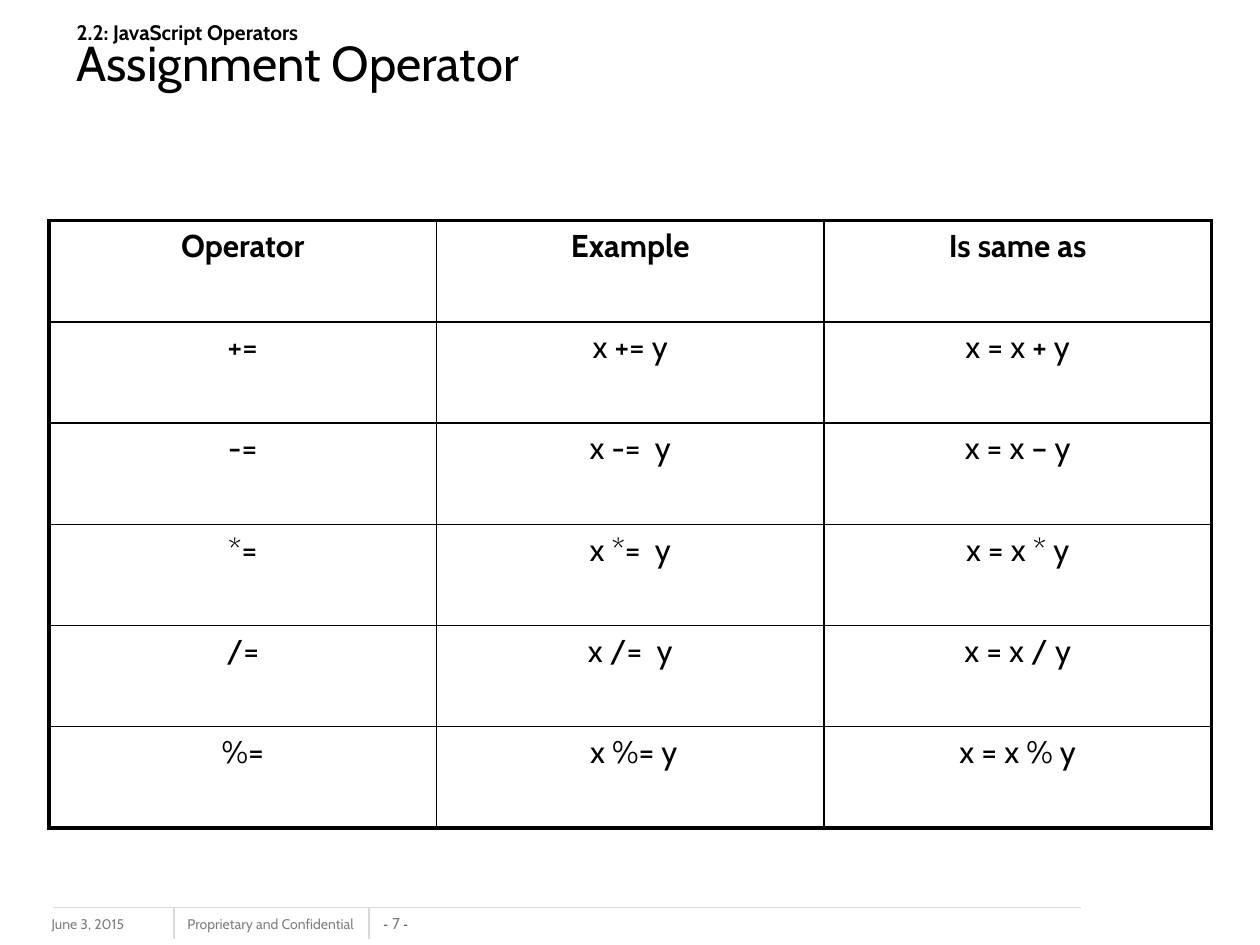
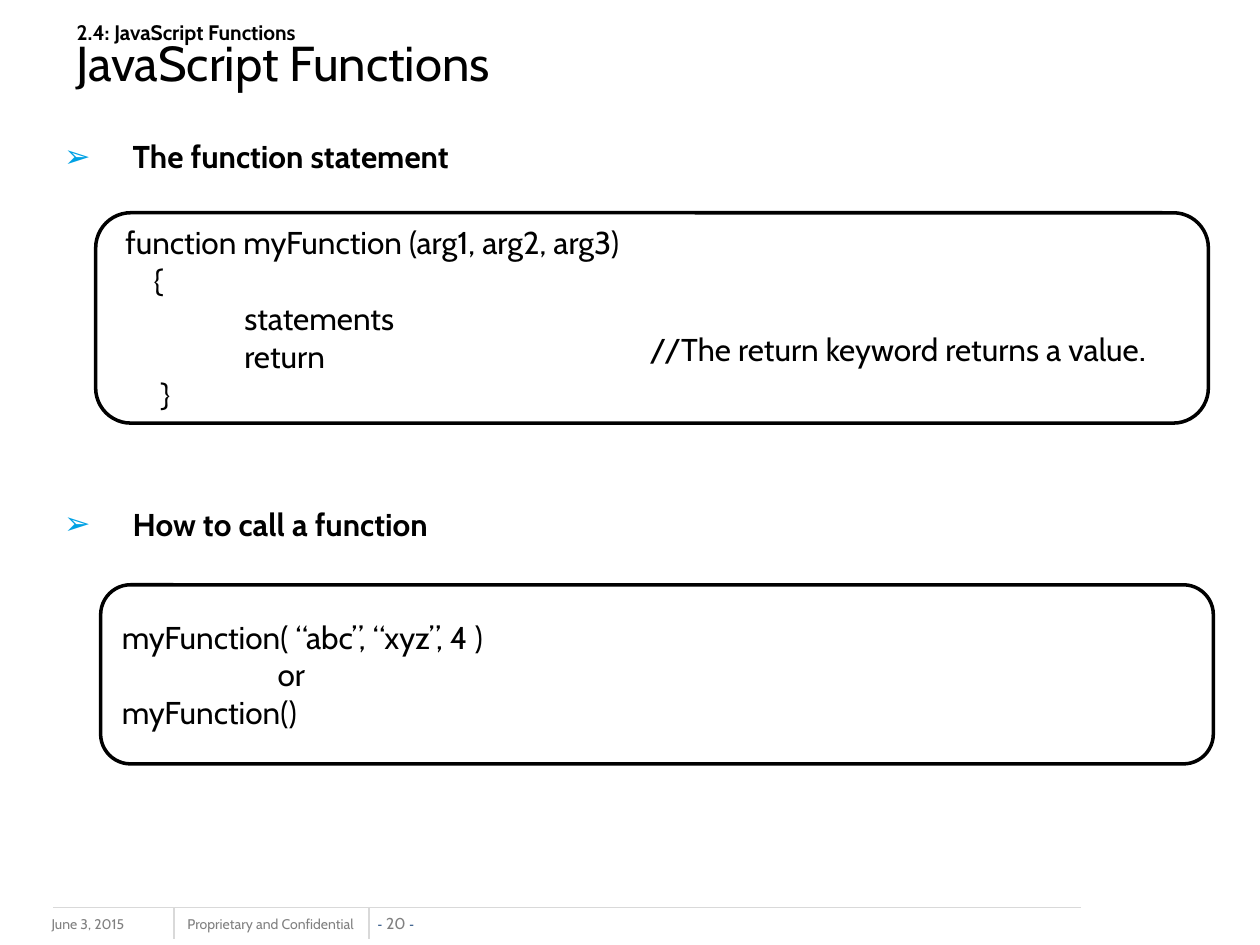
from dataclasses import dataclass
from typing import Any

import lxml.etree
import pptx
import pptx.dml.color
import pptx.enum.shapes
import pptx.enum.text
import pptx.oxml.ns
import pptx.util

Cm = pptx.util.Cm
Pt = pptx.util.Pt
RGBColor = pptx.dml.color.RGBColor
ALIGN = pptx.enum.text.PP_ALIGN
ANCHOR = pptx.enum.text.MSO_ANCHOR
qn = pptx.oxml.ns.qn

# Shared look
BLACK = RGBColor(0x00, 0x00, 0x00)
WHITE = RGBColor(0xFF, 0xFF, 0xFF)
GREY = RGBColor(0x80, 0x80, 0x80)
RULE_GREY = RGBColor(0xD9, 0xD9, 0xD9)
NAVY = RGBColor(0x1F, 0x49, 0x7D)
BULLET_BLUE = RGBColor(0x00, 0xA1, 0xE4)
MAIN_FONT = "Cabin"
DASH_FONT = "Arial"


@dataclass(frozen=True)
class Frame:
    left: float
    top: float
    width: float
    height: float

    def lengths(self) -> tuple:
        return Cm(self.left), Cm(self.top), Cm(self.width), Cm(self.height)


@dataclass(frozen=True)
class Style:
    size: float
    color: RGBColor = BLACK
    bold: bool = False
    font: str = MAIN_FONT


@dataclass(frozen=True)
class Rule:
    x1: float
    y1: float
    x2: float
    y2: float


@dataclass(frozen=True)
class CodePanel:
    frame: Frame
    lines: tuple


CAPTION = Style(12, bold=True)
HEADING = Style(28)
TEXT = Style(18)
STRONG = Style(18, bold=True)
FOOTER = Style(8, GREY)
PAGE_NUMBER = Style(9, GREY)
DASH = Style(8, NAVY, font=DASH_FONT)

TITLE_FRAME = Frame(1.29, 0.76, 22.66, 1.98)
DATE_FRAME = Frame(0.79, 18.34, 3.38, 0.64)
NOTICE_FRAME = Frame(3.53, 18.34, 3.99, 0.61)
NUMBER_FRAME = Frame(7.55, 18.42, 0.86, 0.38)
FOOTER_RULES = (
    Rule(21.79, 18.29, 1.07, 18.29),
    Rule(3.51, 18.29, 3.51, 18.92),
    Rule(7.44, 18.29, 7.44, 18.92),
)

# Assignment operator table
TABLE_LEFT, TABLE_TOP = 0.99, 4.45
COLUMN_WIDTH, ROW_HEIGHT = 7.81, 2.04
OUTER_LINE, INNER_LINE = 2.25, 1
OPERATOR_ROWS = (
    ("Operator", "Example", "Is same as"),
    ("+=", "x += y", "x = x + y"),
    ("-=", "x -=  y", "x = x – y"),
    ("*=", "x *=  y", "x = x * y"),
    ("/=", "x /=  y", "x = x / y"),
    ("%=", " x %= y", "x = x % y"),
)

# Function topics and their code
TOPICS = ("The function statement", "How to call a function")
TOPICS_FRAME = Frame(1.04, 2.64, 22.66, 10.08)
TOPIC_INDENT = 1.38
TOPIC_GAP = 188.5
CODE_TAB = 2.54
CODE_PANELS = (
    CodePanel(
        Frame(1.93, 4.29, 22.43, 4.24),
        (
            " function myFunction (arg1, arg2, arg3)",
            "     {",
            "\tstatements",
            "\treturn",
            "      }",
        ),
    ),
    CodePanel(
        Frame(2.03, 11.79, 22.43, 3.61),
        ("myFunction( “abc”, “xyz”, 4 )", "                      or", "myFunction()"),
    ),
)
COMMENT_FRAME = Frame(12.83, 6.45, 10.54, 1.09)


def add_span(para: Any, text: str, style: Style) -> None:
    span = para.add_run()
    span.text = text
    span.font.name = style.font
    span.font.size = Pt(style.size)
    span.font.bold = style.bold
    span.font.color.rgb = style.color


def next_para(text_frame: Any, index: int) -> Any:
    return text_frame.paragraphs[0] if index == 0 else text_frame.add_paragraph()


def place(shape: Any, frame: Frame) -> None:
    shape.left, shape.top, shape.width, shape.height = frame.lengths()


def add_text_box(page: Any, frame: Frame, spans: tuple, wrap: bool = False,
                 align: Any = ALIGN.LEFT) -> Any:
    box = page.shapes.add_textbox(*frame.lengths())
    box.text_frame.word_wrap = wrap
    para = box.text_frame.paragraphs[0]
    para.alignment = align
    for text, style in spans:
        add_span(para, text, style)
    return box


def add_rule(page: Any, rule: Rule) -> None:
    line = page.shapes.add_connector(
        pptx.enum.shapes.MSO_CONNECTOR.STRAIGHT,
        Cm(rule.x1), Cm(rule.y1), Cm(rule.x2), Cm(rule.y2),
    )
    line.line.color.rgb = RULE_GREY
    line.line.width = Pt(0.75)
    lxml.etree.SubElement(line._element.spPr, qn("a:effectLst"))


def add_footer(page: Any, number: int) -> None:
    add_text_box(page, DATE_FRAME, (("June 3, 2015", FOOTER),), wrap=True)
    add_text_box(page, NOTICE_FRAME, (("Proprietary and Confidential", FOOTER),))
    number_spans = (("- ", DASH), (f"{number} ", PAGE_NUMBER), ("-", DASH))
    box = add_text_box(page, NUMBER_FRAME, number_spans, align=ALIGN.CENTER)
    body = box.text_frame
    body.margin_left = body.margin_top = body.margin_right = body.margin_bottom = 0
    body.vertical_anchor = ANCHOR.BOTTOM
    for rule in FOOTER_RULES:
        add_rule(page, rule)


def set_title(page: Any, caption: str, heading: str) -> None:
    place(page.shapes.title, TITLE_FRAME)
    body = page.shapes.title.text_frame
    body.word_wrap = True
    body.auto_size = pptx.enum.text.MSO_AUTO_SIZE.NONE
    body.vertical_anchor = ANCHOR.MIDDLE
    body.margin_top, body.margin_bottom = 0, Cm(1.17)
    for index, (text, style) in enumerate(((caption, CAPTION), (heading, HEADING))):
        para = next_para(body, index)
        para.alignment = ALIGN.LEFT
        para.line_spacing = 0.8
        add_span(para, text, style)


def new_page(deck: Any, layout: int, caption: str, heading: str, number: int) -> Any:
    page = deck.slides.add_slide(deck.slide_layouts[layout])
    set_title(page, caption, heading)
    add_footer(page, number)
    return page


def set_borders(cell: Any, widths: dict) -> None:
    properties = cell._tc.get_or_add_tcPr()
    for index, (side, width) in enumerate(widths.items()):
        border = lxml.etree.Element(qn(f"a:{side}"), w=str(Pt(width)))
        fill = lxml.etree.SubElement(border, qn("a:solidFill"))
        lxml.etree.SubElement(fill, qn("a:srgbClr"), val=str(BLACK))
        properties.insert(index, border)


def add_operator_table(page: Any) -> None:
    row_count, column_count = len(OPERATOR_ROWS), len(OPERATOR_ROWS[0])
    frame = Frame(TABLE_LEFT, TABLE_TOP,
                  COLUMN_WIDTH * column_count, ROW_HEIGHT * row_count)
    table = page.shapes.add_table(row_count, column_count, *frame.lengths()).table
    table.first_row = table.horz_banding = False
    for row, texts in enumerate(OPERATOR_ROWS):
        for column, text in enumerate(texts):
            cell = table.cell(row, column)
            cell.fill.background()
            para = cell.text_frame.paragraphs[0]
            para.alignment = ALIGN.CENTER
            add_span(para, text, STRONG if row == 0 else TEXT)
            on_edge = {
                "lnL": column == 0,
                "lnR": column == column_count - 1,
                "lnT": row == 0,
                "lnB": row == row_count - 1,
            }
            set_borders(cell, {side: OUTER_LINE if edge else INNER_LINE
                               for side, edge in on_edge.items()})


def add_bullet(para: Any) -> None:
    properties = para._p.get_or_add_pPr()
    properties.set("marL", str(Cm(TOPIC_INDENT)))
    properties.set("indent", str(-Cm(TOPIC_INDENT)))
    color = lxml.etree.SubElement(properties, qn("a:buClr"))
    lxml.etree.SubElement(color, qn("a:srgbClr"), val=str(BULLET_BLUE))
    lxml.etree.SubElement(properties, qn("a:buFont"), typeface=DASH_FONT)
    lxml.etree.SubElement(properties, qn("a:buChar"), char="➢")


def add_tab_stop(para: Any) -> None:
    stops = lxml.etree.SubElement(para._p.get_or_add_pPr(), qn("a:tabLst"))
    lxml.etree.SubElement(stops, qn("a:tab"), pos=str(Cm(CODE_TAB)), algn="l")


def fill_topics(page: Any) -> None:
    holder = page.placeholders[1]
    place(holder, TOPICS_FRAME)
    body = holder.text_frame
    body.auto_size = pptx.enum.text.MSO_AUTO_SIZE.NONE
    for index, topic in enumerate(TOPICS):
        para = next_para(body, index)
        add_bullet(para)
        para.space_before = Pt(TOPIC_GAP * index)
        add_span(para, topic, STRONG)


def add_code_panel(page: Any, panel: CodePanel) -> None:
    box = page.shapes.add_shape(
        pptx.enum.shapes.MSO_SHAPE.ROUNDED_RECTANGLE, *panel.frame.lengths()
    )
    box.shadow.inherit = False
    box.fill.solid()
    box.fill.fore_color.rgb = WHITE
    box.line.color.rgb = BLACK
    box.line.width = Pt(2)
    body = box.text_frame
    body.word_wrap = True
    body.vertical_anchor = ANCHOR.MIDDLE
    for index, line in enumerate(panel.lines):
        para = next_para(body, index)
        para.alignment = ALIGN.LEFT
        if line.startswith("\t"):
            add_tab_stop(para)
        add_span(para, line, TEXT)


def main() -> None:
    deck = pptx.Presentation()
    deck.slide_width, deck.slide_height = Cm(25.4), Cm(19.05)

    # Operators
    page = new_page(deck, 5, "2.2: JavaScript Operators", "Assignment Operator", 7)
    add_operator_table(page)

    # Functions
    page = new_page(deck, 1, "2.4: JavaScript Functions", "JavaScript Functions", 20)
    fill_topics(page)
    for panel in CODE_PANELS:
        add_code_panel(page, panel)
    comment = (("//The return keyword returns a value", TEXT), (".", Style(20)))
    add_text_box(page, COMMENT_FRAME, comment, align=ALIGN.CENTER)

    deck.save("out.pptx")


if __name__ == "__main__":
    main()
